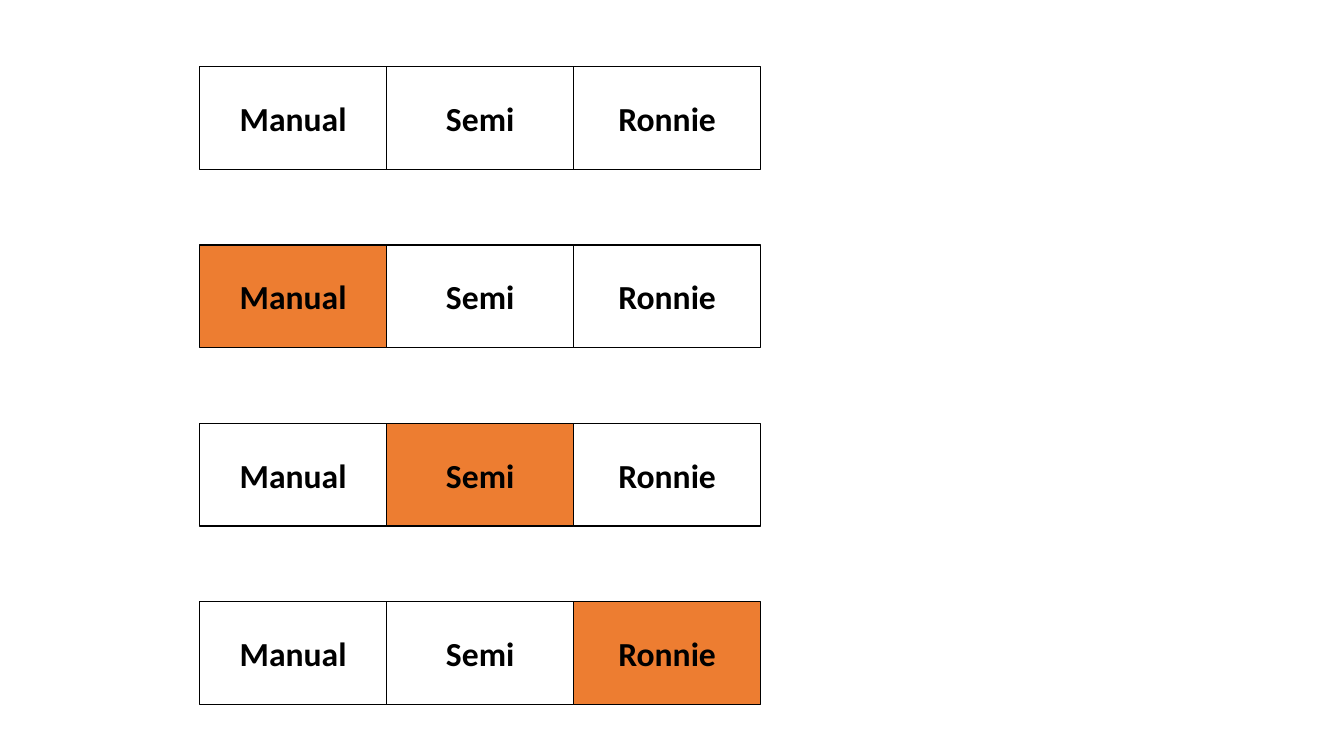
from pptx import Presentation
from pptx import util as u
from pptx.dml.color import RGBColor
from pptx.enum import shapes, text

MODES = ["Manual", "Semi", "Ronnie"]
ACTIVE_MODES = [None, "Manual", "Semi", "Ronnie"]

BLACK = RGBColor(0x00, 0x00, 0x00)
WHITE = RGBColor(0xFF, 0xFF, 0xFF)
ORANGE = RGBColor(0xED, 0x7D, 0x31)

LEFT, TOP = u.Inches(1.98), u.Inches(0.66)
WIDTH, HEIGHT = u.Inches(1.855), u.Inches(1.02)
ROW_STEP = u.Inches(1.77)


def add_button(slide, label, left, top, fill):
    sp = slide.shapes.add_shape(shapes.MSO_SHAPE.RECTANGLE, left, top, WIDTH, HEIGHT)
    sp.shadow.inherit = False
    sp.fill.solid()
    sp.fill.fore_color.rgb = fill
    sp.line.color.rgb = BLACK
    sp.line.width = u.Pt(1)
    tf = sp.text_frame
    tf.text = label
    tf.vertical_anchor = text.MSO_ANCHOR.MIDDLE
    p = tf.paragraphs[0]
    p.alignment = text.PP_ALIGN.CENTER
    font = p.runs[0].font
    font.name = "Calibri"
    font.size = u.Pt(24)
    font.bold = True
    font.color.rgb = BLACK


def main():
    prs = Presentation()
    prs.slide_width, prs.slide_height = u.Inches(13.33), u.Inches(7.5)
    slide = prs.slides.add_slide(prs.slide_layouts[6])
    for row, active in enumerate(ACTIVE_MODES):
        for col, mode in enumerate(MODES):
            fill = ORANGE if mode == active else WHITE
            add_button(slide, mode, LEFT + col * WIDTH, TOP + row * ROW_STEP, fill)
    prs.save("out.pptx")


if __name__ == "__main__":
    main()
